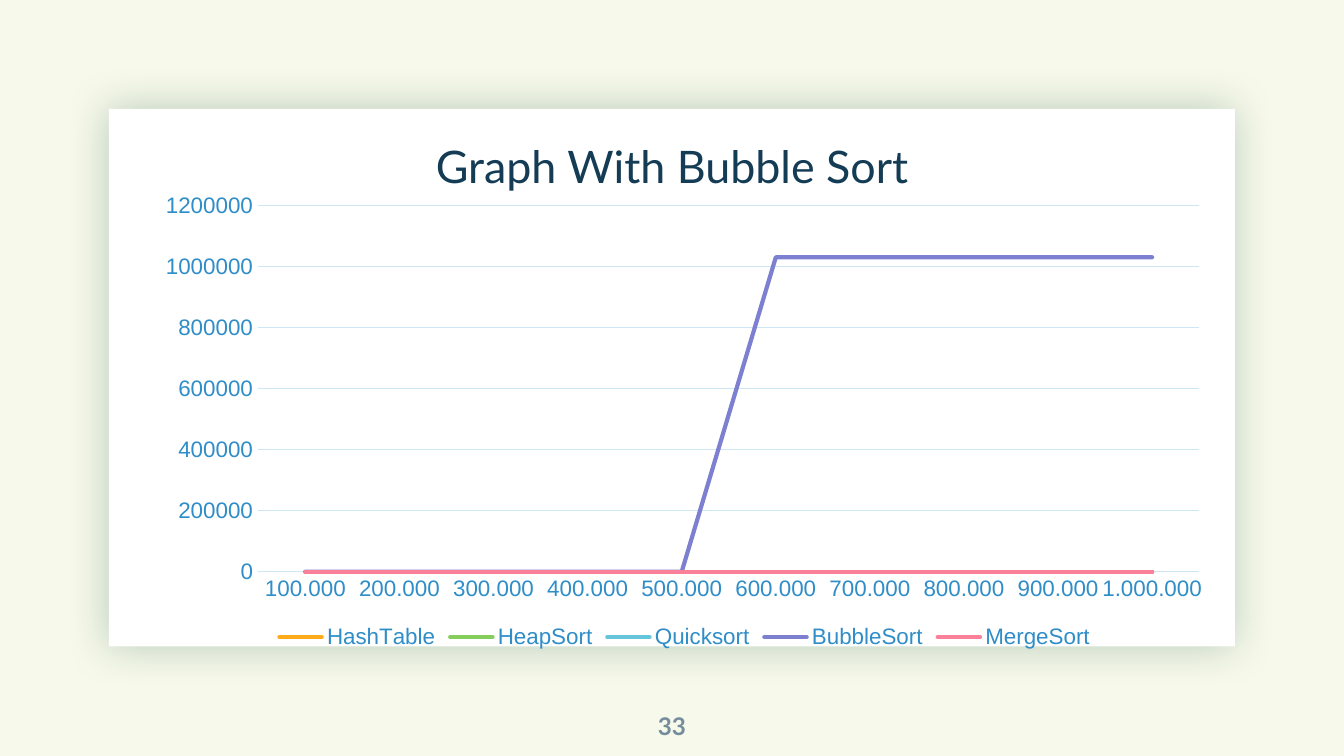
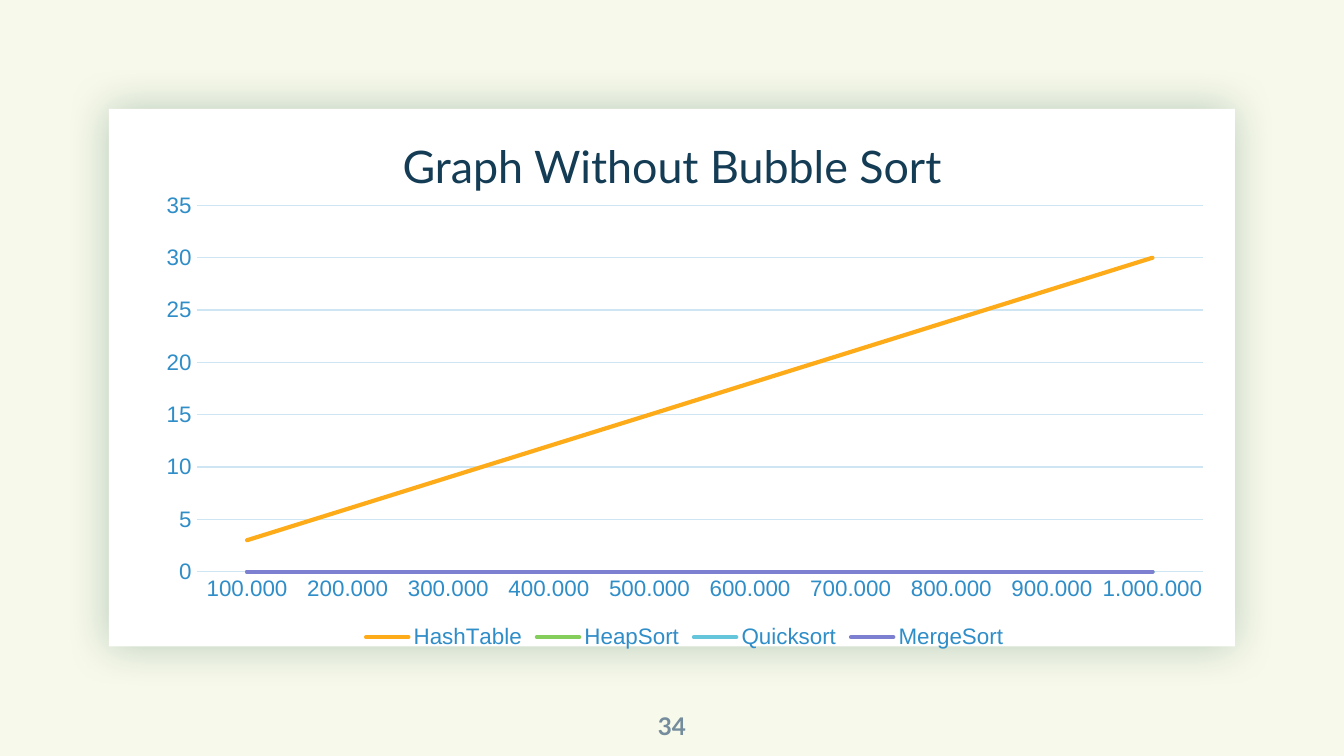
from pptx import Presentation
from pptx import util as u
from pptx.chart import data as chart_data
from pptx.dml.color import RGBColor
from pptx.enum import chart as charts, shapes, text
from pptx.oxml import parse_xml
from pptx.oxml.ns import nsdecls

WIDTH, HEIGHT = 25.4, 14.29
PAPER, PANEL, SHADOW = "F7F9EA", "FFFFFF", "054C3A"
NAVY, GREY, BLUE, PALE = "143C55", "748C9C", "2F8DC8", "CEE5F3"
SERIES_COLORS = ["FEAB19", "85CE5B", "65C5DB", "7D7FD0", "FA7F99"]

TITLE = {"size": u.Pt(24), "name": "Lato", "bold": False}
NUMBER = {"size": u.Pt(13), "name": "Lato", "bold": True}
BASE = {"size": u.Pt(10), "name": "Arial"}
LABEL = {"size": u.Pt(12), "name": "Arial", "bold": False}

SIZES = [f"{n}00.000" for n in range(1, 10)] + ["1.000.000"]
FLAT = [0] * len(SIZES)
BUBBLE = [0] * 5 + [1030000] * 5
LINEAR = [3 * n for n in range(1, 11)]

SLIDES = [
    {"title": "Graph With Bubble Sort", "number": 33, "top": 1200000, "step": 200000,
     "series": {"HashTable": FLAT, "HeapSort": FLAT, "Quicksort": FLAT,
                "BubbleSort": BUBBLE, "MergeSort": FLAT}},
    {"title": "Graph Without Bubble Sort", "number": 34, "top": 35, "step": 5,
     "series": {"HashTable": LINEAR, "HeapSort": FLAT, "Quicksort": FLAT,
                "MergeSort": FLAT}},
]


def rgb(value):
    return RGBColor.from_string(value)


def apply(target, values):
    for name, value in values.items():
        setattr(target, name, value)


def set_font(font, values, color):
    apply(font, values)
    font.color.rgb = rgb(color)


def set_line(line, color, points):
    line.color.rgb = rgb(color)
    line.width = u.Pt(points)


class Deck:
    """Holds the style and the current slide."""

    def __init__(self):
        self.presentation = Presentation()
        self.presentation.slide_width = u.Cm(WIDTH)
        self.presentation.slide_height = u.Cm(HEIGHT)
        self.slide = None

    def new_slide(self):
        self.slide = self.presentation.slides.add_slide(self.presentation.slide_layouts[6])
        fill = self.slide.background.fill
        fill.solid()
        fill.fore_color.rgb = rgb(PAPER)

    def box(self, top, width, height):
        """Frame centred across the slide."""
        return [u.Cm(v) for v in ((WIDTH - width) / 2, top, width, height)]

    def panel(self):
        shape = self.slide.shapes.add_shape(
            shapes.MSO_SHAPE.RECTANGLE, *self.box(2.06, 21.28, 10.16))
        shape.fill.solid()
        shape.fill.fore_color.rgb = rgb(PANEL)
        shape.line.fill.background()
        # Soft glow on all sides
        shape.shadow.inherit = False
        effects = shape.element.spPr.find(
            "{http://schemas.openxmlformats.org/drawingml/2006/main}effectLst")
        effects.append(parse_xml(
            f'<a:outerShdw {nsdecls("a")} blurRad="{u.Pt(22.5)}" dist="0" dir="0" '
            f'algn="ctr" rotWithShape="0"><a:srgbClr val="{SHADOW}">'
            '<a:alpha val="25000"/></a:srgbClr></a:outerShdw>'))

    def label(self, words, frame, font, color, anchor, spacing=1.0):
        text_frame = self.slide.shapes.add_textbox(*frame).text_frame
        apply(text_frame, {"word_wrap": True, "vertical_anchor": anchor,
                           "margin_left": 0, "margin_right": 0,
                           "margin_top": 0, "margin_bottom": 0})
        paragraph = text_frame.paragraphs[0]
        apply(paragraph, {"alignment": text.PP_ALIGN.CENTER, "line_spacing": spacing})
        run = paragraph.add_run()
        run.text = words
        set_font(run.font, font, color)

    def line_chart(self, series_values, top, step):
        data = chart_data.CategoryChartData()
        data.categories = SIZES
        for name, values in series_values.items():
            data.add_series(name, values)
        frame = [u.Cm(v) for v in (2.74, 3.48, 20.4, 8.89)]
        chart = self.slide.shapes.add_chart(
            charts.XL_CHART_TYPE.LINE, *frame, data).chart
        apply(chart, {"has_title": False, "has_legend": True})
        set_font(chart.font, BASE, NAVY)

        # Legend
        apply(chart.legend, {"position": charts.XL_LEGEND_POSITION.BOTTOM,
                             "include_in_layout": False})
        set_font(chart.legend.font, LABEL, BLUE)

        # Axes
        for axis in (chart.category_axis, chart.value_axis):
            apply(axis, {"major_tick_mark": charts.XL_TICK_MARK.NONE,
                         "minor_tick_mark": charts.XL_TICK_MARK.NONE})
            set_font(axis.tick_labels.font, LABEL, BLUE)
        set_line(chart.category_axis.format.line, PALE, 0.75)
        apply(chart.value_axis, {"minimum_scale": 0, "maximum_scale": top,
                                 "major_unit": step, "has_major_gridlines": True})
        chart.value_axis.format.line.fill.background()
        set_line(chart.value_axis.major_gridlines.format.line, PALE, 0.75)

        # Series lines with round ends
        chart.plots[0].vary_by_categories = False
        for series, color in zip(chart.plots[0].series, SERIES_COLORS):
            series.smooth = False
            set_line(series.format.line, color, 2.25)
        for line in chart.element.xpath("//c:ser/c:spPr/a:ln"):
            line.set("cap", "rnd")


def main():
    deck = Deck()
    for content in SLIDES:
        deck.new_slide()
        deck.panel()
        deck.label(content["title"], deck.box(2.72, 19.4, 0.94), TITLE, NAVY,
                   text.MSO_ANCHOR.BOTTOM, 0.9)
        deck.label(str(content["number"]), deck.box(13.18, 1.52, 1.09), NUMBER, GREY,
                   text.MSO_ANCHOR.MIDDLE)
        deck.line_chart(content["series"], content["top"], content["step"])
    deck.presentation.save("out.pptx")


if __name__ == "__main__":
    main()
